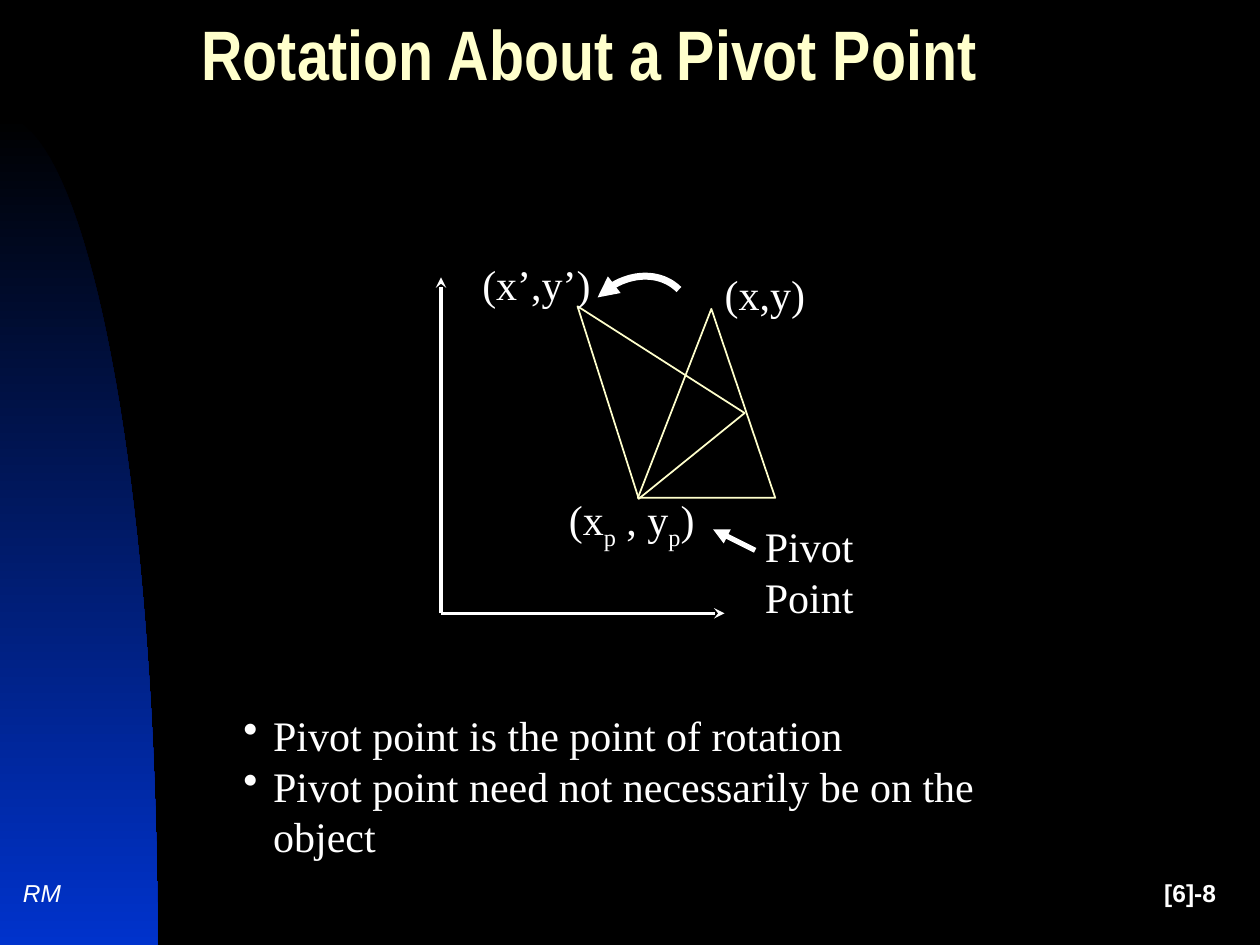
from lxml import etree
from pptx import Presentation
from pptx.dml.color import RGBColor
from pptx.enum.shapes import MSO_CONNECTOR
from pptx.enum.text import MSO_ANCHOR, MSO_AUTO_SIZE, PP_ALIGN
from pptx.oxml.ns import qn
from pptx.util import Pt

STRAIGHT = MSO_CONNECTOR.STRAIGHT
MIDDLE, TOP = MSO_ANCHOR.MIDDLE, MSO_ANCHOR.TOP
LEFT, RIGHT = PP_ALIGN.LEFT, PP_ALIGN.RIGHT
NO_AUTOFIT = MSO_AUTO_SIZE.NONE
WHITE, CREAM, BLACK, BLUE = "FFFFFF", "FFFFCC", "000000", "0033CC"
SERIF, SANS = "Times New Roman", "Arial"
CURVE_STEPS = 40


def style(font, name, size, color=WHITE):
    font.name, font.size = name, Pt(size)
    font.color.rgb = RGBColor.from_string(color)


def outline(points, close):
    """Add a freeform through points, or along the cubic curve if open."""
    if not close:
        a, b, c, d = points
        points = []
        for step in range(CURVE_STEPS + 1):
            t = step / CURVE_STEPS
            weights = ((1 - t) ** 3, 3 * t * (1 - t) ** 2, 3 * t * t * (1 - t), t ** 3)
            points.append([sum(w * p[i] for w, p in zip(weights, (a, b, c, d)))
                           for i in (0, 1)])
        if a[0] == 0:  # the side panel runs on to the slide's corner
            points.append((a[0], d[1]))
            close = True
    points = [(Pt(x), Pt(y)) for x, y in points]
    builder = slide.shapes.build_freeform(*points[0])
    builder.add_line_segments(points[1:], close=close)
    shape = builder.convert_to_shape()
    shape.shadow.inherit = False
    return shape


prs = Presentation()
prs.slide_width, prs.slide_height = Pt(720), Pt(540)
slide = prs.slides.add_slide(prs.slide_layouts[5])
slide.background.fill.solid()
slide.background.fill.fore_color.rgb = RGBColor.from_string(BLACK)

# Side panel
panel = outline([(0, 66), (50, 66), (90, 279), (90, 540)], close=False)
panel.line.fill.background()
panel.fill.gradient()
panel.fill.gradient_angle = 270
for stop, color, position in zip(panel.fill.gradient_stops, (BLACK, BLUE), (0, 1)):
    stop.color.rgb = RGBColor.from_string(color)
    stop.position = position

# Title
title = slide.shapes.title
title.left, title.top, title.width, title.height = Pt(108), Pt(0), Pt(594), Pt(72)
title.text_frame.text = "Rotation About a Pivot Point"
title.text_frame.auto_size = NO_AUTOFIT
title.text_frame.vertical_anchor = MIDDLE
heading = title.text_frame.paragraphs[0]
heading.alignment, heading.line_spacing = LEFT, 0.7
style(heading.font, "Arial Narrow", 40, CREAM)
heading.font.bold = True

# Object before and after rotation
for corners in (
    [(364.5, 284.5), (443, 284.5), (406.5, 176.5)],
    [(365, 285), (425.5, 236), (330, 175)],
):
    triangle = outline(corners, close=True)
    triangle.fill.background()
    triangle.line.color.rgb = RGBColor.from_string(CREAM)
    triangle.line.width = Pt(1)

# Axes, pivot pointer and rotation arrow
origin = (252, 350.5)
arrows = []
for start, end, width, tip in (
    (origin, (414, 350.5), 2, "stealth"),
    (origin, (252, 158.5), 2, "stealth"),
    ((431.5, 314.5), (407.5, 302.5), 3, "triangle"),
):
    arrow = slide.shapes.add_connector(STRAIGHT, *map(Pt, start + end))
    etree.SubElement(arrow._element.spPr, qn("a:effectLst"))
    arrows.append((arrow, width, "a:tailEnd", tip))

rotation = outline([(341.5, 170), (356, 155.5), (376.5, 154), (388, 165.5)], close=False)
rotation.fill.background()
arrows.append((rotation, 4, "a:headEnd", "triangle"))

for arrow, width, end_tag, tip in arrows:
    arrow.line.color.rgb = RGBColor.from_string(WHITE)
    arrow.line.width = Pt(width)
    etree.SubElement(arrow.line._get_or_add_ln(), qn(end_tag), type=tip)

# Labels, bullets and footer: box, paragraphs of runs, wrap, font, size, anchor, alignment
bullets = [["Pivot point is the point of rotation"],
           ["Pivot point need not necessarily be on the object"]]
for box, lines, wrap, face, size, anchor, alignment in (
    ((318, 278.5, 111, 40), [["(x", "p", " , y", "p", ")"]], True, SERIF, 24, TOP, LEFT),
    ((407, 150, 60.5, 36), [["(x,y)"]], False, SERIF, 24, TOP, LEFT),
    ((268.5, 144, 76.5, 36), [["(x’,y’)"]], False, SERIF, 24, TOP, LEFT),
    ((430, 294, 121.5, 36), [["Pivot Point"]], False, SERIF, 24, TOP, LEFT),
    ((132, 402, 488, 93), bullets, True, SERIF, 24, TOP, LEFT),
    ((552, 492, 150, 36), [["[6]-8"]], True, SANS, 14, MIDDLE, RIGHT),
    ((6, 492, 42, 36), [["RM"]], True, SANS, 14, MIDDLE, LEFT),
):
    frame = slide.shapes.add_textbox(*map(Pt, box)).text_frame
    frame.word_wrap, frame.vertical_anchor = wrap, anchor
    for index, texts in enumerate(lines):
        paragraph = frame.add_paragraph() if index else frame.paragraphs[0]
        paragraph.alignment = alignment
        style(paragraph.font, face, size)
        paragraph.font.bold = alignment == RIGHT
        paragraph.font.italic = texts == ["RM"]
        for text in texts:
            run = paragraph.add_run()
            run.text = text
            if text == "p":
                run.font._element.set("baseline", "-25000")
        if lines is bullets:
            properties = paragraph._p.get_or_add_pPr()
            properties.set("marL", str(Pt(17)))
            properties.set("indent", str(-Pt(17)))
            bullet = etree.Element(qn("a:buChar"), char="•")
            properties.insert(0, bullet)

prs.save("out.pptx")
